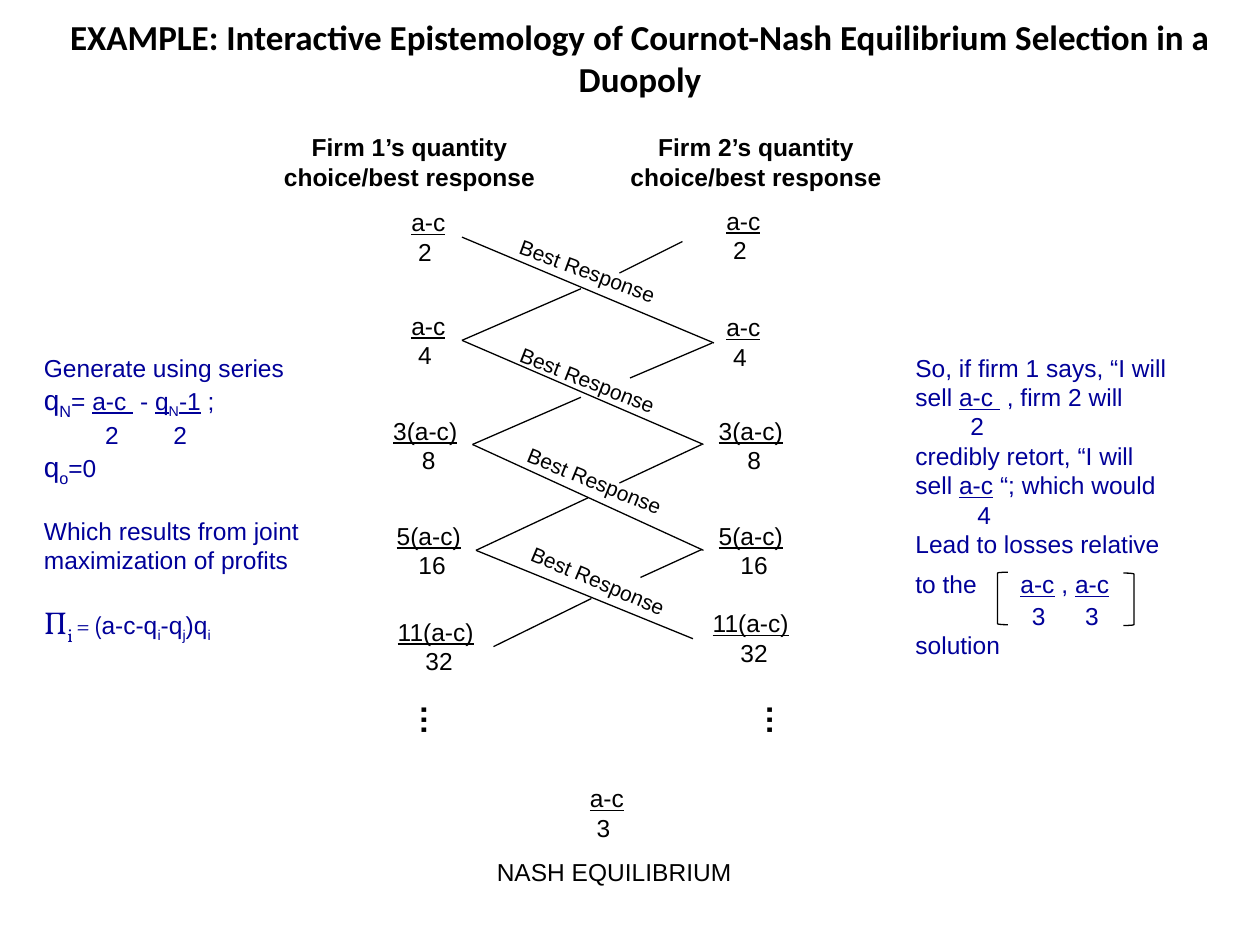
from collections import namedtuple

from lxml import etree
from pptx import Presentation
from pptx.dml.color import RGBColor
from pptx.enum.shapes import MSO_CONNECTOR, MSO_SHAPE
from pptx.enum.text import MSO_ANCHOR, MSO_AUTO_SIZE, PP_ALIGN
from pptx.oxml.ns import qn
from pptx.util import Pt

BLACK = RGBColor(0x00, 0x00, 0x00)
NAVY = RGBColor(0x00, 0x00, 0x99)
LEFT, CENTER = PP_ALIGN.LEFT, PP_ALIGN.CENTER
STRAIGHT = MSO_CONNECTOR.STRAIGHT
LINE_WIDTH = Pt(0.75)

Run = namedtuple("Run", "text size bold under sub font",
                 defaults=(14, False, False, False, "Arial"))
Para = namedtuple("Para", "runs tabs before", defaults=((), 0))

prs = Presentation()
prs.slide_width, prs.slide_height = Pt(720), Pt(540)
s = prs.slides.add_slide(prs.slide_layouts[5])


def add_text(x, y, w, h, paras, color=BLACK, align=LEFT, rotation=0):
    sp = s.shapes.add_textbox(Pt(x), Pt(y), Pt(w), Pt(h))
    sp.rotation = rotation
    tf = sp.text_frame
    tf.word_wrap = True
    tf.auto_size = MSO_AUTO_SIZE.NONE
    for i, para in enumerate(paras):
        p = tf.add_paragraph() if i else tf.paragraphs[0]
        p.alignment = align
        if para.before:
            p.space_before = Pt(para.before)
        if para.tabs:
            tab_list = etree.SubElement(p._p.get_or_add_pPr(), qn("a:tabLst"))
            for pos in para.tabs:
                etree.SubElement(tab_list, qn("a:tab"), pos=str(Pt(pos)), algn="l")
        for run in para.runs:
            r = p.add_run()
            r.text = run.text
            r.font.name, r.font.size = run.font, Pt(run.size)
            r.font.bold, r.font.underline = run.bold, run.under
            r.font.color.rgb = color
            if run.sub:
                r._r.get_or_add_rPr().set("baseline", "-25000")


def add_fraction(x, y, w, top, bottom, align):
    add_text(x, y, w, 41, [Para([Run(top, under=True)]),
                           Para([Run(" " + bottom)])], align=align)


# Title
title = s.shapes.title
title.left, title.top, title.width, title.height = Pt(11.5), Pt(-12), Pt(708.5), Pt(90)
tf = title.text_frame
tf.auto_size = MSO_AUTO_SIZE.NONE
tf.vertical_anchor = MSO_ANCHOR.MIDDLE
p = tf.paragraphs[0]
p.alignment = CENTER
r = p.add_run()
r.text = ("EXAMPLE: Interactive Epistemology of Cournot-Nash Equilibrium "
          "Selection in a Duopoly")
r.font.name, r.font.size, r.font.bold = "Calibri", Pt(20), True
r.font.color.rgb = BLACK

# Column headings and the dots that continue each column
for firm, heading_x, dots_x in ((1, 150, 221), (2, 348, 418.5)):
    heading = Run(f"Firm {firm}’s quantity choice/best response", bold=True)
    add_text(heading_x, 72, 168, 41, [Para([heading])], align=CENTER)
    add_text(dots_x, 408, 54, 29, [Para([Run("…", size=18, bold=True)])], rotation=90)

# Quantities: numerator, denominator, width, alignment, firm 1 place, firm 2 place
quantities = [
    ("a-c", "2", 36, LEFT, (228, 115), (408, 114)),
    ("a-c", "4", 36, LEFT, (228, 174), (408, 175)),
    ("3(a-c)", "8", 54, CENTER, (216, 234), (402, 234)),
    ("5(a-c)", "16", 54, CENTER, (218, 294), (402, 294)),
    ("11(a-c)", "32", 66, CENTER, (216, 349), (396, 344)),
]
for top, bottom, w, align, *places in quantities:
    for x, y in places:
        add_fraction(x, y, w, top, bottom, align)

# Best responses: four long lines, then the broken lines running back
response_lines = [
    (264, 135.5, 408, 196), (264, 194.5, 402, 254),
    (270, 254, 402, 314.5), (272, 314.5, 396, 365),
    (332, 165, 264, 194.5), (390, 138, 354, 156),
    (270, 254, 332, 227), (407, 196, 360, 216),
    (272, 314.5, 336, 284.5), (401, 254, 354, 276),
    (282, 369.5, 338, 342), (401, 314, 366, 330),
]
for ends in response_lines:
    line = s.shapes.add_connector(STRAIGHT, *map(Pt, ends))
    line.line.color.rgb = BLACK
    line.line.width = LINE_WIDTH
    etree.SubElement(line._element.spPr, qn("a:effectLst"))

for x, y, angle in ((288, 144, 20.2), (288, 206.5, 21.6), (292, 264, 22.3), (294, 321, 23)):
    add_text(x, y, 96, 21.5, [Para([Run("Best Response", size=12)])], rotation=angle)

# Series and profit function
add_text(18, 198, 162, 176, [
    Para([Run("Generate using series")]),
    Para([Run("q", 16), Run("N", 16, sub=True), Run("= "), Run("a-c ", under=True),
          Run(" - "), Run("q", under=True), Run("N", sub=True),
          Run("-1", under=True), Run(" ;")]),
    Para([Run("\t2\t2")], tabs=(35, 74)),
    Para([Run("q", 16), Run("o", 16, sub=True), Run("=0")]),
    Para([Run("Which results from joint maximization of profits")], before=16),
    Para([Run("Π", 18, font="Vollkorn"), Run("i ", 18, sub=True, font="Vollkorn"),
          Run("= ", font="Vollkorn"), Run("(", font="Arial Narrow"),
          Run("a-c-q"), Run("i", sub=True), Run("-q"), Run("j", sub=True),
          Run(")q"), Run("i", sub=True)], before=16),
], color=NAVY)

# Credibility argument
add_text(516, 198, 162, 216, [
    Para([Run("So, if firm 1 says, “I will sell "), Run("a-c ", under=True),
          Run(" , firm 2 will")]),
    Para([Run("\t2")], tabs=(31.5,)),
    Para([Run("credibly retort, “I will sell "), Run("a-c", under=True),
          Run(" “; which would")]),
    Para([Run("\t4")], tabs=(35.5,)),
    Para([Run("Lead to losses relative to the"), Run("\t", 20), Run("a-c", under=True),
          Run(" , "), Run("a-c", under=True)], tabs=(60,)),
    Para([Run("\t3\t3")], tabs=(66.5, 97)),
    Para([Run("solution")]),
], color=NAVY)
for kind, x, y in ((MSO_SHAPE.LEFT_BRACKET, 570, 327), (MSO_SHAPE.RIGHT_BRACKET, 642, 327.5)):
    sp = s.shapes.add_shape(kind, Pt(x), Pt(y), Pt(6), Pt(30))
    sp.shadow.inherit = False
    sp.fill.background()
    sp.line.color.rgb = BLACK
    sp.line.width = LINE_WIDTH

# Equilibrium
add_fraction(330, 444, 36, "a-c", "3", LEFT)
add_text(246, 486, 210, 24.5, [Para([Run("NASH EQUILIBRIUM")])], align=CENTER)

prs.save("out.pptx")
